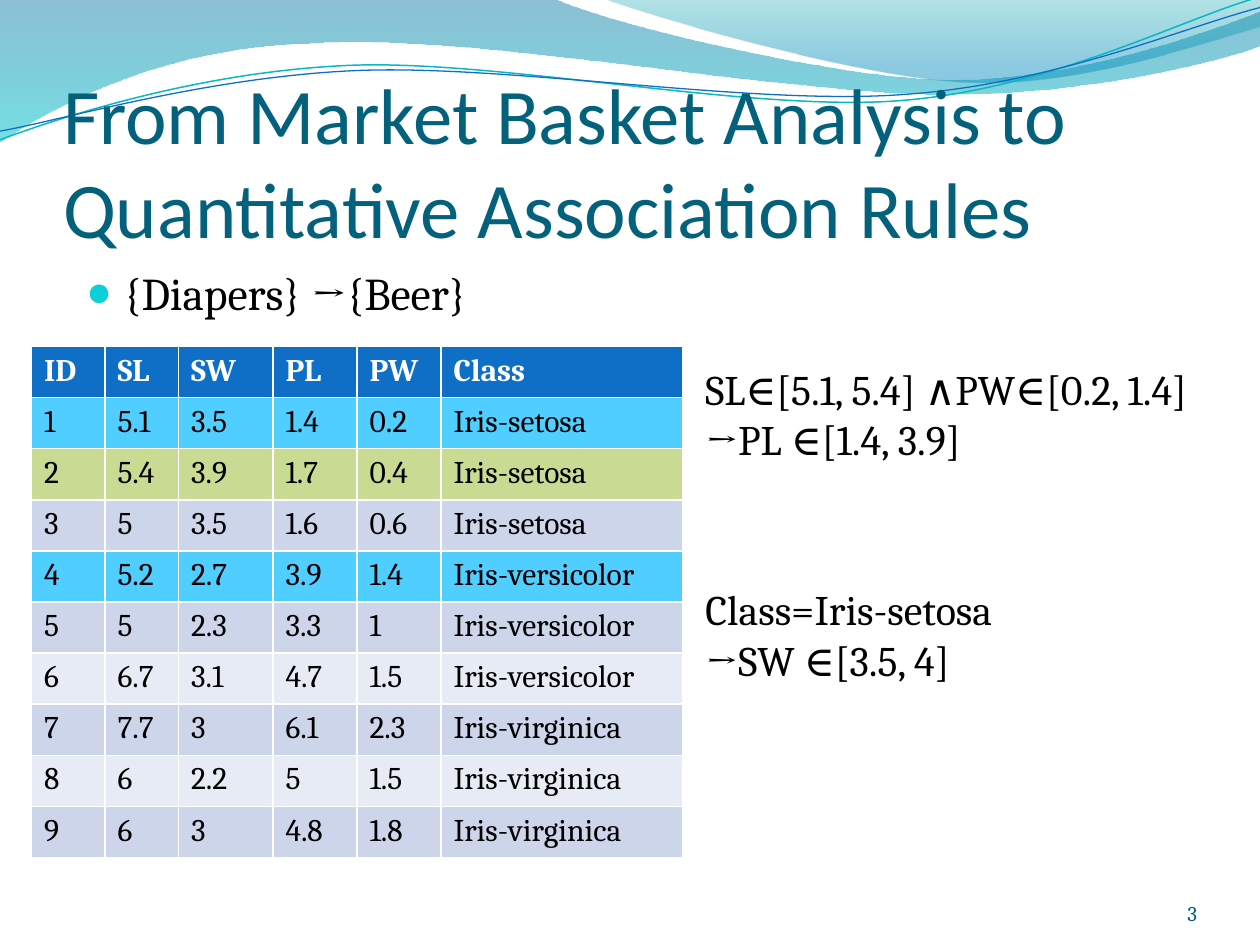
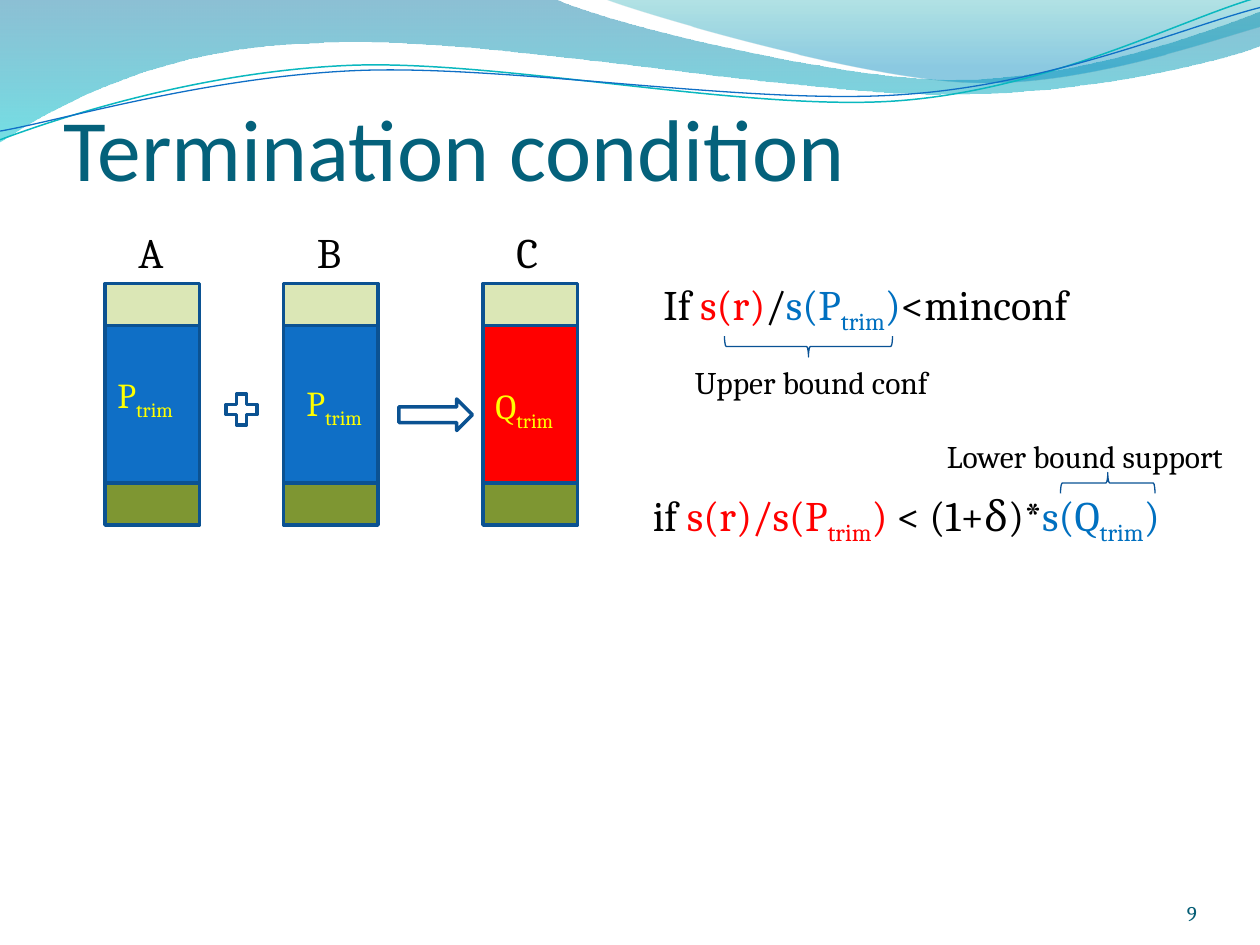
import lxml.etree
import pptx
import pptx.dml.color
import pptx.enum.shapes
import pptx.enum.text
import pptx.oxml.ns
import pptx.util

Pt = pptx.util.Pt
RGB = pptx.dml.color.RGBColor.from_string
qn = pptx.oxml.ns.qn
SHAPE = pptx.enum.shapes.MSO_SHAPE
ALIGN = pptx.enum.text.PP_ALIGN
ANCHOR = pptx.enum.text.MSO_ANCHOR
FIT = pptx.enum.text.MSO_AUTO_SIZE

COLORS = {
    "black": "000000", "white": "FFFFFF", "title": "04617B", "number": "045D75",
    "bullet": "0BD0D9", "blue": "0F6FC6", "edge": "0B5292", "brace": "095295",
    "red": "FF0000", "yellow": "FFFF00", "term": "0070C0",
    "pale green": "DBE7B6", "olive": "7E9632",
    "sky": "4FCEFF", "lime": "C9DA92", "odd row": "CCD5EA", "even row": "E7EBF5",
    "deep sea": "0074A1", "lagoon": "00C6CF", "teal": "00A1A9", "azure": "008BBF",
    "turquoise": "0AB8BF",
}


def write(box, *lines, size=24, color="black", font="Cambria", bold=False,
          align=None, anchor=None, insets=None, fit=FIT.SHAPE_TO_FIT_TEXT):
    """Fill a box or cell; a line is a string or a list of (text, color, is_subscript)."""
    frame = box.text_frame
    if fit is not None:
        frame.word_wrap = True
        frame.auto_size = fit
    if anchor is not None:
        frame.vertical_anchor = anchor
    if insets:
        (frame.margin_left, frame.margin_top,
         frame.margin_right, frame.margin_bottom) = map(Pt, insets)
    for index, line in enumerate(lines):
        para = frame.add_paragraph() if index else frame.paragraphs[0]
        para.alignment = align
        spans = [(line, color, False)] if isinstance(line, str) else line
        for text, ink, is_subscript in spans:
            span = para.add_run()
            span.text = text
            span.font.name = font
            span.font.size = Pt(size)
            span.font.bold = bold
            span.font.color.rgb = RGB(COLORS[ink])
            if is_subscript:
                span.font._element.set("baseline", "-25000")


def add_preset(shapes, kind, at, fill=None, line="edge", width=2):
    shape = shapes.add_shape(kind, *map(Pt, at))
    shape.shadow.inherit = False
    if fill:
        shape.fill.solid()
        shape.fill.fore_color.rgb = RGB(COLORS[fill])
    else:
        shape.fill.background()
    shape.line.color.rgb = RGB(COLORS[line])
    shape.line.width = Pt(width)
    return shape


deck = pptx.Presentation()
deck.slide_width, deck.slide_height = Pt(720), Pt(540)
rules_slide = deck.slides.add_slide(deck.slide_layouts[1])
stop_slide = deck.slides.add_slide(deck.slide_layouts[5])

# Wave header on the master: steps of 2 numbers are lines, steps of 6 are Bezier curves.
# A band has gradient stops (position, color, opacity); a strand has a color and a width.
waves = [
    {"start": (0, 0),
     "steps": [(316.8, -0.7), (342.7, 12.2, 478.1, 45.4, 545.8, 45.4),
               (614.2, 45.4, 689.8, 18.7, 720, 6.5), (720.7, 25.9),
               (707.8, 31.7, 626.4, 54.7, 537.1, 54),
               (447.8, 54, 275, 20.2, 185, 24.5), (92.9, 25.9, 33.1, 59.8, -0.7, 81.4)],
     "stops": [(0, "deep sea", 45), (1, "lagoon", 55)]},
    {"start": (344.9, -0.7),
     "steps": [(366.5, 7.9, 491, 44.6, 553.7, 46.8),
               (616.3, 49.7, 691.9, 23, 720, 15.1), (720, 0)],
     "stops": [(0, "teal", 30), (0.8, "azure", 45)]},
    {"start": (0, 79.9),
     "steps": [(34.6, 67, 113.8, 41, 199.4, 37.4), (284.4, 33.8, 427, 64.1, 513.4, 57.6),
               (599.8, 51.1, 675.4, 10.8, 718.6, -1.4)],
     "strand": ("turquoise", 0.85)},
    {"start": (0, 74.9),
     "steps": [(33.8, 69.1, 118.1, 43.9, 203.8, 40.3), (290.2, 36.7, 429.8, 60.5, 516.2, 54),
               (601.9, 48.2, 677.5, 15.1, 720, 4.3)],
     "strand": ("blue", 0.75)},
]
for order, wave in enumerate(waves):
    builder = rules_slide.shapes.build_freeform(*map(Pt, wave["start"]))
    builder.add_line_segments([(Pt(step[-2]), Pt(step[-1])) for step in wave["steps"]],
                              close="stops" in wave)
    shape = builder.convert_to_shape()
    segments = list(shape.element.iter(qn("a:lnTo")))
    for segment, step in zip(segments, wave["steps"]):
        if len(step) == 6:
            curve = lxml.etree.Element(qn("a:cubicBezTo"))
            for x, y in zip(step[::2], step[1::2]):
                lxml.etree.SubElement(curve, qn("a:pt"), x=str(Pt(x) - shape.left),
                                      y=str(Pt(y) - shape.top))
            segment.getparent().replace(segment, curve)
    shape.shadow.inherit = False
    if "stops" in wave:
        shape.fill.gradient()
        shape.fill.gradient_angle = 270
        for stop, (position, color, opacity) in zip(shape.fill.gradient_stops, wave["stops"]):
            stop.position = position
            stop.color.rgb = RGB(COLORS[color])
        for tint, (position, color, opacity) in zip(shape.element.iter(qn("a:srgbClr")),
                                                    wave["stops"]):
            lxml.etree.SubElement(tint, qn("a:alpha"), val=str(opacity * 1000))
        shape.line.fill.background()
    else:
        color, width = wave["strand"]
        shape.fill.background()
        shape.line.color.rgb = RGB(COLORS[color])
        shape.line.width = Pt(width)
    shape.element.nvSpPr.cNvPr.set("id", str(100 + order))
    deck.slide_master.shapes.element.insert(2 + order, shape.element)

# Titles and page numbers
for slide, title, top, size, number in [
    (rules_slide, "From Market Basket Analysis to Quantitative Association Rules", 55.5, 45, "3"),
    (stop_slide, "Termination condition", 24, 50, "9"),
]:
    heading = slide.shapes.title
    heading.left, heading.top, heading.width, heading.height = map(Pt, (36, top, 648, 90))
    write(heading, title, size=size, color="title", font="Calibri", align=ALIGN.LEFT,
          anchor=ANCHOR.BOTTOM, insets=(0, 3.6, 0, 0), fit=FIT.NONE)
    write(slide.shapes.add_textbox(*map(Pt, (624, 500.5, 60, 28.75))), number, size=12,
          color="number", align=ALIGN.RIGHT, anchor=ANCHOR.BOTTOM, insets=(0, 0, 0, 0),
          fit=FIT.NONE)

# Association rules slide
body = rules_slide.placeholders[1]
body.left, body.top, body.width, body.height = map(Pt, (42, 147.6, 648, 356.4))
para = body.text_frame.paragraphs[0]
para.space_before = Pt(0)
bullet_format = para._p.get_or_add_pPr()
bullet_format.set("marL", str(Pt(21.6)))
bullet_format.set("indent", str(-Pt(21.6)))
bullet_color = lxml.etree.SubElement(bullet_format, qn("a:buClr"))
lxml.etree.SubElement(bullet_color, qn("a:srgbClr"), val=COLORS["bullet"])
lxml.etree.SubElement(bullet_format, qn("a:buSzPct"), val="95000")
lxml.etree.SubElement(bullet_format, qn("a:buChar"), char="●")
write(body, "{Diapers} →{Beer}", size=26, fit=FIT.NONE)

iris_rows = [
    ("ID", "SL", "SW", "PL", "PW", "Class"),
    ("1", "5.1", "3.5", "1.4", "0.2", "Iris-setosa"),
    ("2", "5.4", "3.9", "1.7", "0.4", "Iris-setosa"),
    ("3", "5", "3.5", "1.6", "0.6", "Iris-setosa"),
    ("4", "5.2", "2.7", "3.9", "1.4", "Iris-versicolor"),
    ("5", "5", "2.3", "3.3", "1", "Iris-versicolor"),
    ("6", "6.7", "3.1", "4.7", "1.5", "Iris-versicolor"),
    ("7", "7.7", "3", "6.1", "2.3", "Iris-virginica"),
    ("8", "6", "2.2", "5", "1.5", "Iris-virginica"),
    ("9", "6", "3", "4.8", "1.8", "Iris-virginica"),
]
highlights = {0: "blue", 1: "sky", 2: "lime", 4: "sky"}
iris_table = rules_slide.shapes.add_table(10, 6, *map(Pt, (18, 198, 372, 292))).table
for column, width in zip(iris_table.columns, (42, 42, 54, 48, 48, 138)):
    column.width = Pt(width)
for row_index, values in enumerate(iris_rows):
    iris_table.rows[row_index].height = Pt(29.2)
    is_header = row_index == 0
    fill = highlights.get(row_index, "odd row" if row_index % 2 else "even row")
    for column_index, value in enumerate(values):
        cell = iris_table.cell(row_index, column_index)
        cell.fill.solid()
        cell.fill.fore_color.rgb = RGB(COLORS[fill])
        write(cell, value, size=18, bold=is_header, fit=None,
              color="white" if is_header else "black")

write(rules_slide.shapes.add_textbox(*map(Pt, (396, 204, 318, 65.5))),
      "SL∈[5.1, 5.4] ∧PW∈[0.2, 1.4]", "→PL ∈[1.4, 3.9]")
write(rules_slide.shapes.add_textbox(*map(Pt, (396, 330, 204, 65.5))),
      "Class=Iris-setosa", "→SW ∈[3.5, 4]")

# Termination slide: each stack is head, trimmed middle and tail
shapes = stop_slide.shapes
for name, left, middle_fill in [("A", 60, "blue"), ("B", 162, "blue"), ("C", 276, "red")]:
    stack = shapes.add_group_shape()
    for top, height, fill in [(186, 90, middle_fill), (162, 24, "pale green"),
                              (276, 24, "olive")]:
        add_preset(stack.shapes, SHAPE.RECTANGLE, (left, top, 54, height), fill)
    write(shapes.add_textbox(*map(Pt, (left + 12, 126, 54, 36))), name)

add_preset(shapes, SHAPE.MATH_PLUS, (126, 222, 24, 24))
add_preset(shapes, SHAPE.RIGHT_ARROW, (228, 228, 42, 18))
for letter, left, top, width in [("P", 60, 210, 54), ("P", 168, 214.5, 54), ("Q", 276, 216, 72)]:
    write(shapes.add_textbox(*map(Pt, (left, top, width, 31.5))),
          [(letter, "yellow", False), ("trim", "yellow", True)], size=20)

write(shapes.add_textbox(*map(Pt, (372, 155.6, 270, 36))),
      [("If ", "black", False), ("s(r)", "red", False), ("/", "black", False),
       ("s(P", "term", False), ("trim", "term", True), (")", "term", False),
       ("<minconf", "black", False)])
write(shapes.add_textbox(*map(Pt, (366, 276, 354, 36))),
      [("if ", "black", False), ("s(r)/s(P", "red", False), ("trim", "red", True),
       (") ", "red", False), ("< (1+δ)*", "black", False), ("s(Q", "term", False),
       ("trim", "term", True), (")", "term", False)])

for caption, caption_at, brace_at, rotation in [
    ("Upper bound conf", (390, 204, 150, 29), (456, 150, 12, 96), 270),
    ("Lower bound support", (534, 246, 186, 29), (627, 249, 12, 54), 90),
]:
    write(shapes.add_textbox(*map(Pt, caption_at)), caption, size=18)
    brace = add_preset(shapes, SHAPE.LEFT_BRACE, brace_at, line="brace", width=0.75)
    brace.rotation = rotation

deck.save("out.pptx")
